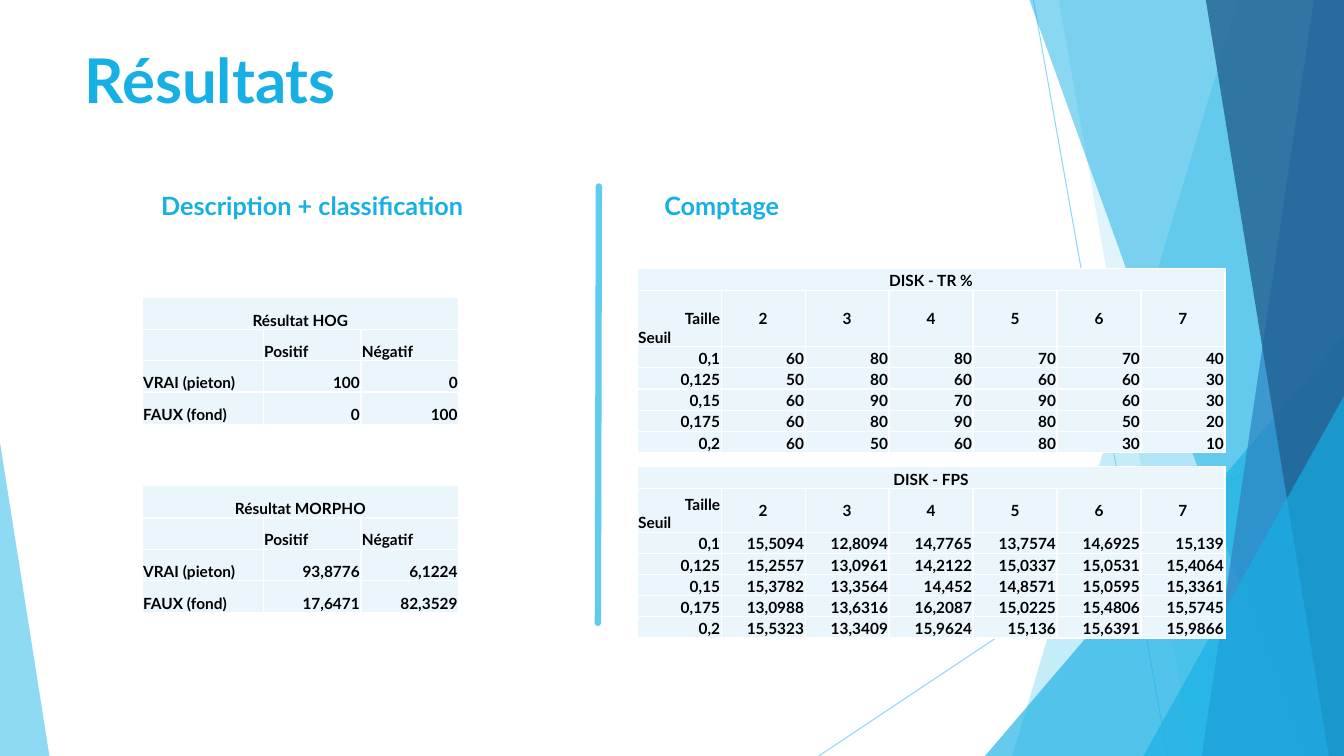
from lxml import etree
from pptx import Presentation
from pptx.dml.color import RGBColor
from pptx.enum.shapes import MSO_CONNECTOR, MSO_SHAPE
from pptx.enum.text import MSO_ANCHOR, PP_ALIGN
from pptx.oxml.ns import qn
from pptx.util import Inches, Pt

LEFT, CENTER, RIGHT = PP_ALIGN.LEFT, PP_ALIGN.CENTER, PP_ALIGN.RIGHT
TOP, MIDDLE, BOTTOM = MSO_ANCHOR.TOP, MSO_ANCHOR.MIDDLE, MSO_ANCHOR.BOTTOM
TRIANGLE, STRAIGHT = MSO_SHAPE.ISOSCELES_TRIANGLE, MSO_CONNECTOR.STRAIGHT

W, H = 13.33, 7.5
FONT = "Lato"
SKY, BLUE, STEEL, NAVY = "5FCBEF", "17B0E4", "2E83C3", "226292"
BLACK, WHITE, CELL = "000000", "FFFFFF", "EAF6FC"

TITLE = ("Résultats", 44, (0.74, 0.37, 9.4, 1.01))
HEADINGS = [
    ("Description + classification", 18, (1.5, 1.84, 4.82, 0.81)),
    ("Comptage", 18, (6.49, 1.84, 4.82, 0.81)),
]

CLASSES = ["VRAI (pieton)", "FAUX (fond)"]
CONFUSIONS = [
    ("Résultat HOG", 2.95, ["100 0", "0 100"]),
    ("Résultat MORPHO", 4.82, ["93,8776 6,1224", "17,6471 82,3529"]),
]

THRESHOLDS = ["0,1", "0,125", "0,15", "0,175", "0,2"]
SIZES = "2 3 4 5 6 7".split()
COUNTS = [
    ("DISK - TR %", 2.66, 0.56, [
        "60 80 80 70 70 40",
        "50 80 60 60 60 30",
        "60 90 70 90 60 30",
        "60 80 90 80 50 20",
        "60 50 60 80 30 10",
    ]),
    ("DISK - FPS", 4.63, 0.43, [
        "15,5094 12,8094 14,7765 13,7574 14,6925 15,139",
        "15,2557 13,0961 14,2122 15,0337 15,0531 15,4064",
        "15,3782 13,3564 14,452 14,8571 15,0595 15,3361",
        "13,0988 13,6316 16,2087 15,0225 15,4806 15,5745",
        "15,5323 13,3409 15,9624 15,136 15,6391 15,9866",
    ]),
]

THIN_LINES = [((10.25, 0), (11.58, H)), ((W, 4.03), (8.12, H))]
DIVIDER = ((5.94, 1.85), (5.93, 6.18))
BAND, WEDGE = "band", "wedge"
FACETS = [
    (BAND, (12.28, 10.04), SKY, 36),
    (BAND, (10.5, 11.83), SKY, 20),
    (WEDGE, (9.77, 3.33, 3.56, 1), BLUE, 66),
    (BAND, (10.21, 12.91), BLUE, 50),
    (BAND, (13.03, 11.92), STEEL, 70),
    (BAND, (11.96, 13.18), NAVY, 80),
    (WEDGE, (11.34, 3.93, 1.99, 1), BLUE, 66),
    (WEDGE, (0, 4.39, 0.49, 0), SKY, 70),
]


def paint(fill, color, opacity=100):
    fill.solid()
    fill.fore_color.rgb = RGBColor.from_string(color)
    if opacity < 100:
        srgb = fill._xPr.find(qn("a:solidFill"))[0]
        etree.SubElement(srgb, qn("a:alpha"), val=str(opacity * 1000))


def add_run(p, text, size, color):
    r = p.add_run()
    r.text = text
    r.font.name, r.font.size, r.font.bold = FONT, Pt(size), True
    r.font.color.rgb = RGBColor.from_string(color)


def add_line(s, ends, width, opacity=100):
    (x1, y1), (x2, y2) = ends
    line = s.shapes.add_connector(
        STRAIGHT, Inches(x1), Inches(y1), Inches(x2), Inches(y2))
    line.line.width = Pt(width)
    paint(line.line.fill, SKY, opacity)
    etree.SubElement(line._element.spPr, qn("a:effectLst"))
    return line


def add_facet(s, kind, geometry, color, opacity):
    if kind == BAND:
        top_x, bottom_x = geometry
        builder = s.shapes.build_freeform(Inches(top_x), 0)
        corners = [(W, 0), (W, H), (bottom_x, H)]
        builder.add_line_segments([(Inches(x), Inches(y)) for x, y in corners])
        sp = builder.convert_to_shape()
    else:
        x, y, width, apex = geometry
        sp = s.shapes.add_shape(
            TRIANGLE, Inches(x), Inches(y), Inches(width), Inches(H - y))
        sp.adjustments[0] = apex
    sp.shadow.inherit = False
    sp.line.fill.background()
    paint(sp.fill, color, opacity)


def set_heading(sp, text, size, box):
    sp.left, sp.top, sp.width, sp.height = map(Inches, box)
    tf = sp.text_frame
    tf.word_wrap, tf.vertical_anchor = True, TOP
    p = tf.paragraphs[0]
    p.alignment = LEFT
    add_run(p, text, size, BLUE)


def style_cell(cell, lines, anchor):
    cell.margin_left = cell.margin_right = cell.margin_top = Inches(0.01)
    cell.margin_bottom = 0
    cell.vertical_anchor = anchor
    tf = cell.text_frame
    for i, (text, align) in enumerate(lines):
        p = tf.add_paragraph() if i else tf.paragraphs[0]
        p.alignment = align
        if text:
            add_run(p, text, 11, BLACK)
        else:
            p._p.get_or_add_endParaRPr().set("sz", "1100")
    tcPr = cell._tc.get_or_add_tcPr()
    for side in ("a:lnL", "a:lnR", "a:lnT", "a:lnB"):
        ln = etree.SubElement(tcPr, qn(side), w=str(Pt(1)))
        solid = etree.SubElement(ln, qn("a:solidFill"))
        etree.SubElement(solid, qn("a:srgbClr"), val=WHITE)
    paint(cell.fill, CELL)


def add_grid(s, x, y, widths, heights, caption, rows):
    frame = s.shapes.add_table(
        len(heights), len(widths), Inches(x), Inches(y),
        Inches(sum(widths)), Inches(sum(heights)))
    table = frame.table
    table.first_row = table.horz_banding = False
    for column, width in zip(table.columns, widths):
        column.width = Inches(width)
    for row, height in zip(table.rows, heights):
        row.height = Inches(height)
    blank = ([("", LEFT)], BOTTOM)
    header = [([(caption, CENTER)], BOTTOM)] + [blank] * (len(widths) - 1)
    for i, row in enumerate([header] + rows):
        for j, (lines, anchor) in enumerate(row):
            style_cell(table.cell(i, j), lines, anchor)
    table.cell(0, 0).merge(table.cell(0, len(widths) - 1))


def aligned(texts, align, anchor=BOTTOM):
    return [([(text, align)], anchor) for text in texts]


def main():
    prs = Presentation()
    prs.slide_width, prs.slide_height = Inches(W), Inches(H)
    s = prs.slides.add_slide(prs.slide_layouts[5])
    set_heading(s.shapes.title, *TITLE)

    for ends in THIN_LINES:
        add_line(s, ends, 0.75, 70)
    for facet in FACETS:
        add_facet(s, *facet)
    divider = add_line(s, DIVIDER, 4.5)
    divider.line._get_or_add_ln().set("cap", "rnd")
    for text, size, box in HEADINGS:
        set_heading(s.shapes.add_textbox(0, 0, 0, 0), text, size, box)

    for caption, y, values in CONFUSIONS:
        rows = [aligned(["", "Positif", "Négatif"], LEFT)]
        rows += [aligned([name], LEFT) + aligned(line.split(), RIGHT)
                 for name, line in zip(CLASSES, values)]
        add_grid(s, 1.41, y, [1.2, 0.97, 0.97], [0.32, 0.31, 0.31, 0.32],
                 caption, rows)

    corner = ([("Taille", RIGHT), ("Seuil", LEFT)], BOTTOM)
    for caption, y, header_height, values in COUNTS:
        rows = [[corner] + aligned(SIZES, CENTER, MIDDLE)]
        rows += [aligned([threshold] + line.split(), RIGHT)
                 for threshold, line in zip(THRESHOLDS, values)]
        heights = [0.22, header_height] + [0.21] * len(values)
        add_grid(s, 6.32, y, [5.83 / 7] * 7, heights, caption, rows)

    prs.save("out.pptx")


if __name__ == "__main__":
    main()
